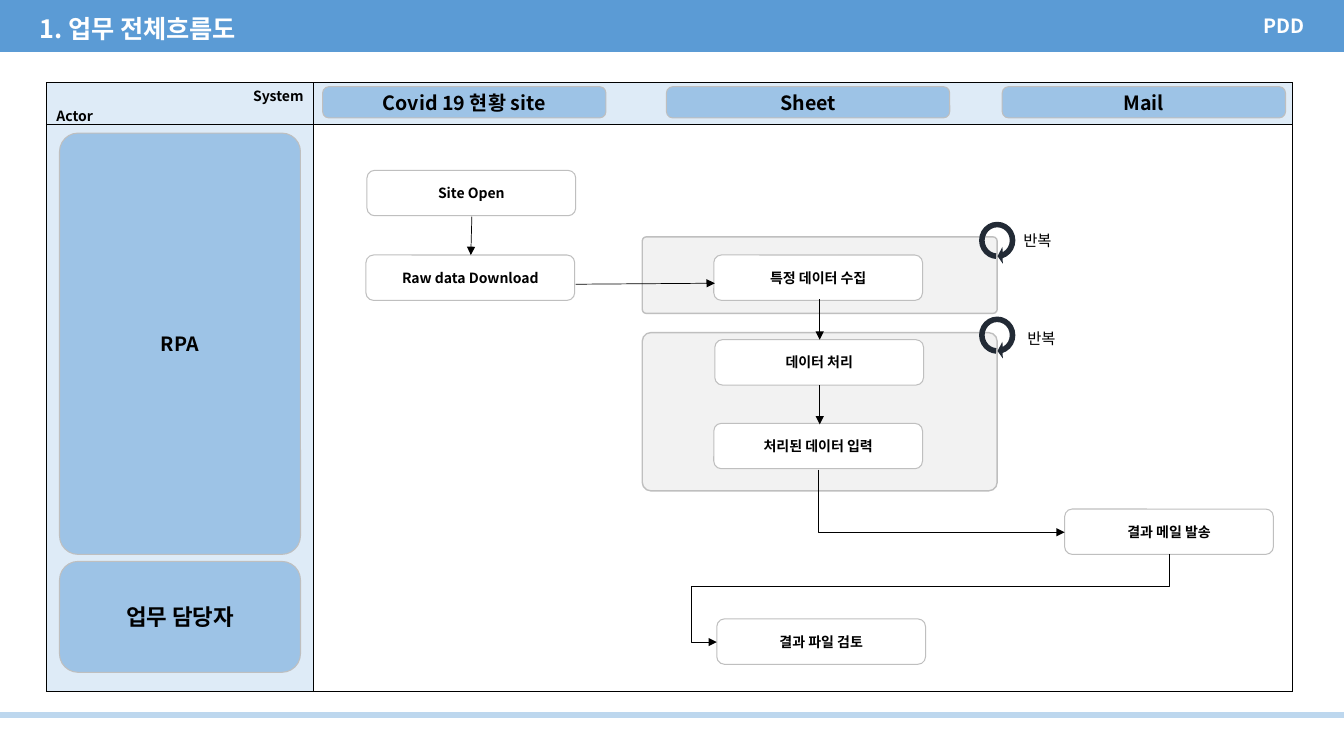
from dataclasses import dataclass

from lxml import etree
from pptx import Presentation
from pptx.dml.color import RGBColor
from pptx.enum.shapes import MSO_CONNECTOR, MSO_SHAPE
from pptx.enum.text import MSO_ANCHOR, MSO_AUTO_SIZE, PP_ALIGN
from pptx.oxml.ns import qn
from pptx.util import Inches, Pt

RECTANGLE, ROUNDED = MSO_SHAPE.RECTANGLE, MSO_SHAPE.ROUNDED_RECTANGLE
LOOP = MSO_SHAPE.CIRCULAR_ARROW
STRAIGHT, ELBOW = MSO_CONNECTOR.STRAIGHT, MSO_CONNECTOR.ELBOW
LEFT, CENTER, RIGHT = PP_ALIGN.LEFT, PP_ALIGN.CENTER, PP_ALIGN.RIGHT
TOP, MIDDLE = MSO_ANCHOR.TOP, MSO_ANCHOR.MIDDLE
FIT_SHAPE = MSO_AUTO_SIZE.SHAPE_TO_FIT_TEXT


@dataclass(frozen=True)
class Theme:
    font: str = "Noto Sans CJK KR"
    black: str = "000000"
    white: str = "FFFFFF"
    banner: str = "5B9BD5"
    footer: str = "BDD7EE"
    label: str = "9DC3E6"
    pale: str = "DEEBF7"
    group: str = "F2F2F2"
    outline: str = "BFBFBF"
    loop: str = "222A35"
    title_size: float = 18
    actor_size: float = 16
    label_size: float = 14
    note_size: float = 11
    step_size: float = 10


class FlowSlide:
    def __init__(self, page, theme):
        self.page = page
        self.theme = theme

    def format_text(self, frame, size, color, aligns, bold=True, anchor=MIDDLE,
                    insets=(0.07, 0.04, 0.07, 0.04)):
        frame.vertical_anchor = anchor
        (frame.margin_left, frame.margin_top,
         frame.margin_right, frame.margin_bottom) = map(Inches, insets)
        for para, align in zip(frame.paragraphs, aligns):
            para.alignment = align
            for span in para.runs:
                span.font.size = Pt(size)
                span.font.bold = bold
                span.font.color.rgb = RGBColor.from_string(color)
                span.font.name = self.theme.font
                east_asian = etree.SubElement(span.font._element, qn("a:ea"))
                east_asian.set("typeface", self.theme.font)

    def title(self, text, place):
        box = self.page.shapes.title
        box.left, box.top, box.width, box.height = map(Inches, place)
        frame = box.text_frame
        frame.text = text
        frame.word_wrap = False
        frame.auto_size = FIT_SHAPE
        self.format_text(frame, self.theme.title_size, self.theme.white, [LEFT],
                         anchor=TOP, insets=(0.1, 0.05, 0.1, 0.05))

    def shape(self, kind, place, fill, line=None, width=0.75, adjustments=()):
        box = self.page.shapes.add_shape(kind, *map(Inches, place))
        box.shadow.inherit = False
        box.fill.solid()
        box.fill.fore_color.rgb = RGBColor.from_string(fill)
        if line:
            box.line.color.rgb = RGBColor.from_string(line)
            box.line.width = Pt(width)
        else:
            box.line.fill.background()
        for index, value in enumerate(adjustments):
            box.adjustments[index] = value
        return box

    def bar(self, place, color, text=""):
        box = self.shape(RECTANGLE, place, color, color, 1)
        self.page.shapes.title._element.addprevious(box._element)
        if text:
            box.text_frame.text = text
            self.format_text(box.text_frame, self.theme.label_size, self.theme.white,
                             [RIGHT], insets=(0.35, 0.05, 0.39, 0.05))

    def card(self, text, place, fill, size, rounding=0.167):
        box = self.shape(ROUNDED, place, fill, self.theme.outline, adjustments=[rounding])
        box.text_frame.text = text
        box.text_frame.word_wrap = True
        self.format_text(box.text_frame, size, self.theme.black, [CENTER])

    def step(self, text, left, top):
        self.card(text, (left, top, 2.07, 0.45), self.theme.white, self.theme.step_size)

    def group(self, top, height):
        self.shape(ROUNDED, (6.37, top, 3.52, height), self.theme.group,
                   self.theme.outline, 1, [0.054])

    def repeat(self, text, loop_top, note_left, note_top):
        loop = self.shape(LOOP, (9.65, loop_top, 0.48, 0.47), self.theme.loop,
                          adjustments=[0.118, 11.423, 203.924, 2.384, 0.176])
        loop.rotation = 90
        note = self.page.shapes.add_textbox(*map(Inches, (note_left, note_top, 0.64, 0.27)))
        note.text_frame.text = text
        note.text_frame.word_wrap = True
        self.format_text(note.text_frame, self.theme.note_size, self.theme.black, [CENTER],
                         bold=False, insets=(0.1, 0.05, 0.1, 0.05))

    def grid(self, place, widths, heights, heading):
        table = self.page.shapes.add_table(len(heights), len(widths), *map(Inches, place)).table
        table.first_row = table.horz_banding = False
        for column, width in zip(table.columns, widths):
            column.width = Inches(width)
        for row, height in zip(table.rows, heights):
            row.height = Inches(height)
        table.cell(0, 0).text_frame.text = heading
        for index, cell in enumerate(table.iter_cells()):
            is_body = index == len(widths) * len(heights) - 1
            cell.vertical_anchor = MIDDLE
            cell.margin_left = cell.margin_right = Inches(0.1)
            cell.margin_top = cell.margin_bottom = Inches(0.03)
            cell.fill.solid()
            cell.fill.fore_color.rgb = RGBColor.from_string(
                self.theme.white if is_body else self.theme.pale)
            self.border(cell)
        self.format_text(table.cell(0, 0).text_frame, self.theme.step_size,
                         self.theme.black, [RIGHT, LEFT], insets=(0.1, 0.03, 0.1, 0.03))

    def border(self, cell):
        properties = cell._tc.get_or_add_tcPr()
        for index, side in enumerate(("a:lnL", "a:lnR", "a:lnT", "a:lnB")):
            line = etree.Element(qn(side), w=str(Pt(0.75)))
            fill = etree.SubElement(line, qn("a:solidFill"))
            etree.SubElement(fill, qn("a:srgbClr"), val=self.theme.black)
            properties.insert(index, line)

    def arrow(self, start, end, kind=STRAIGHT):
        line = self.page.shapes.add_connector(kind, *map(Inches, start + end))
        line.line.color.rgb = RGBColor.from_string(self.theme.black)
        line.line.width = Pt(0.5)
        etree.SubElement(line.line._get_or_add_ln(), qn("a:tailEnd"), type="triangle")
        etree.SubElement(line._element.spPr, qn("a:effectLst"))
        return line

    def bent_arrow(self, start, end, preset, rotation, flip=False, bends=()):
        line = self.arrow(start, end, ELBOW)
        across, down = abs(end[0] - start[0]), abs(end[1] - start[1])
        line.left = Inches((start[0] + end[0] - down) / 2)
        line.top = Inches((start[1] + end[1] - across) / 2)
        line.width, line.height = Inches(down), Inches(across)
        frame = line._element.spPr.find(qn("a:xfrm"))
        frame.attrib.pop("flipH", None)
        frame.set("rot", str(rotation * 60000))
        if flip:
            frame.set("flipH", "1")
        geometry = line._element.spPr.find(qn("a:prstGeom"))
        geometry.set("prst", preset)
        guides = geometry.find(qn("a:avLst"))
        for index, bend in enumerate(bends, 1):
            etree.SubElement(guides, qn("a:gd"), name=f"adj{index}",
                             fmla=f"val {round(bend * 100000)}")


def main():
    deck = Presentation()
    deck.slide_width, deck.slide_height = Inches(13.33), Inches(7.5)
    theme = Theme()
    flow = FlowSlide(deck.slides.add_slide(deck.slide_layouts[5]), theme)
    flow.bar((0, 0, 13.33, 0.51), theme.banner, "PDD")
    flow.bar((0, 7.07, 13.33, 0.05), theme.footer)
    flow.title("1. 업무 전체흐름도", (0.29, 0.08, 2.36, 0.4))
    flow.grid((0.46, 0.82, 12.36, 6.04), (2.65, 9.71), (0.41, 5.63), "System\nActor")

    flow.card("RPA", (0.59, 1.32, 2.39, 4.18), theme.label, theme.label_size, 0.077)
    flow.card("업무 담당자", (0.59, 5.57, 2.39, 1.1), theme.label, theme.actor_size)
    for system, left in (("Covid 19 현황 site", 3.2), ("Sheet", 6.61), ("Mail", 9.94)):
        flow.card(system, (left, 0.86, 2.81, 0.31), theme.label, theme.label_size, 0.2)

    for top, height in ((2.35, 0.76), (3.3, 1.57)):
        flow.group(top, height)
    for text, left, top in (
        ("Site Open", 3.64, 1.69),
        ("Raw data Download", 3.63, 2.53),
        ("특정 데이터 수집", 7.08, 2.53),
        ("데이터 처리", 7.09, 3.37),
        ("처리된 데이터 입력", 7.08, 4.2),
        ("결과 메일 발송", 10.56, 5.05),
        ("결과 파일 검토", 7.11, 6.14),
    ):
        flow.step(text, left, top)
    flow.repeat("반복", 2.15, 9.97, 2.25)
    flow.repeat("반복", 3.09, 10.01, 3.22)

    for start, end in (
        ((4.68, 2.15), (4.67, 2.53)),
        ((5.71, 2.82), (7.09, 2.81)),
        ((8.13, 2.97), (8.13, 3.37)),
        ((8.13, 3.82), (8.13, 4.21)),
    ):
        flow.arrow(start, end)
    flow.bent_arrow((8.12, 4.66), (10.56, 5.28), "bentConnector2", 270, flip=True)
    flow.bent_arrow((11.6, 5.5), (7.11, 6.37), "bentConnector4", 90, bends=(0.37, 1.056))
    deck.save("out.pptx")


if __name__ == "__main__":
    main()
